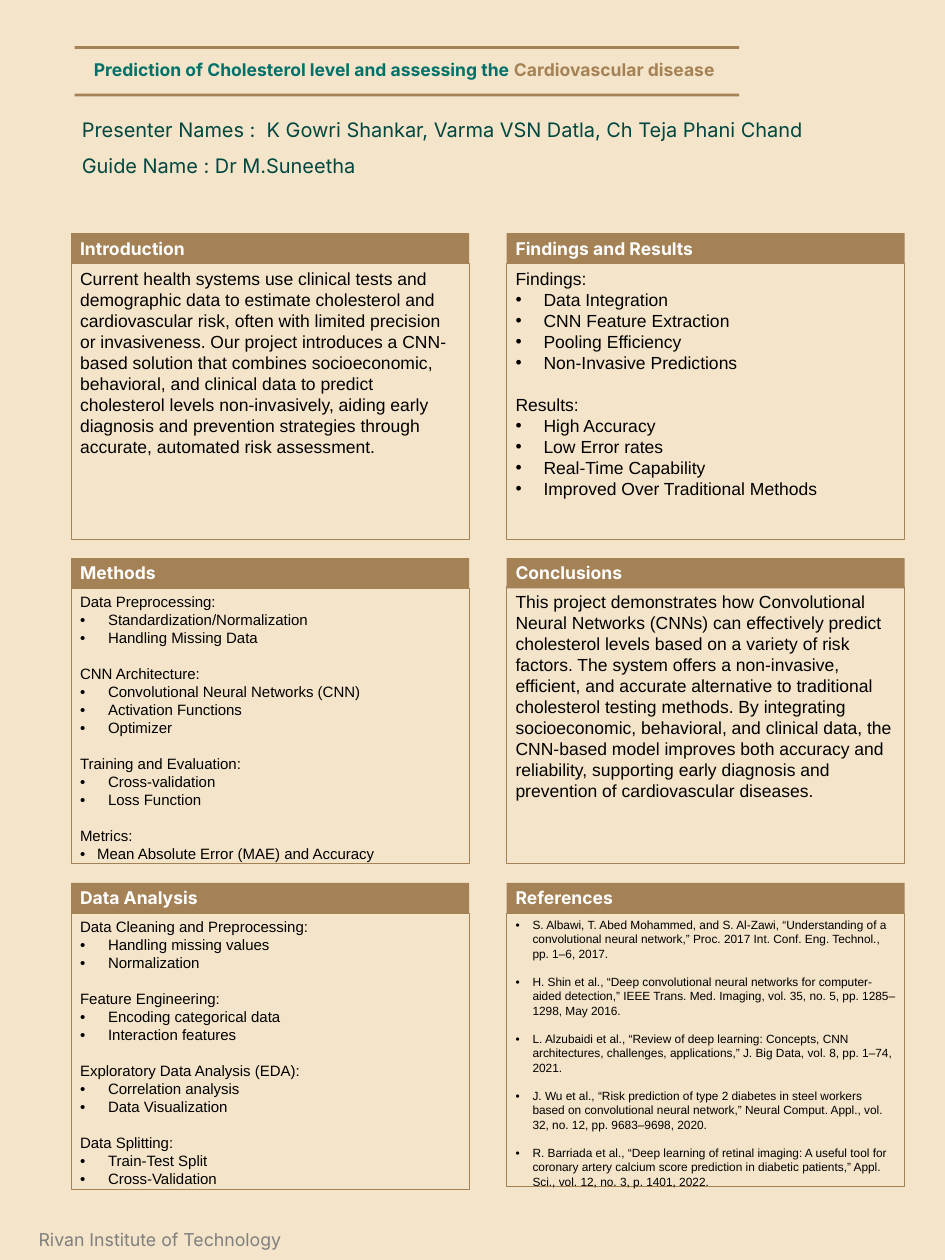
from dataclasses import dataclass

from lxml import etree
from pptx import Presentation
from pptx import util as u
from pptx.dml.color import RGBColor
from pptx.enum import shapes, text
from pptx.oxml import ns


@dataclass(frozen=True)
class Theme:
    paper: str = "F4E4C9"
    brown: str = "A58255"
    teal: str = "007069"
    dark_teal: str = "004740"
    grey: str = "7F7F7F"
    white: str = "FFFFFF"
    black: str = "000000"
    display: str = "Inter"
    body: str = "Arial"
    heading_size: float = 14
    names_size: float = 16
    footer_size: float = 14.2
    large: float = 14
    medium: float = 12
    small: float = 9.5


theme = Theme()


def style(span, font, size, color, bold=False):
    span.font.name = font
    span.font.size = u.Pt(size)
    span.font.color.rgb = RGBColor.from_string(color)
    span.font.bold = bold


def add_box(left, top, width, height, fill=None, line=None):
    box = slide.shapes.add_shape(
        shapes.MSO_SHAPE.RECTANGLE, u.Cm(left), u.Cm(top), u.Cm(width), u.Cm(height)
    )
    box.shadow.inherit = False
    if fill:
        box.fill.solid()
        box.fill.fore_color.rgb = RGBColor.from_string(fill)
    else:
        box.fill.background()
    if line:
        box.line.color.rgb = RGBColor.from_string(line)
        box.line.width = u.Pt(0.75)
    else:
        box.line.fill.background()
    box.text_frame.word_wrap = True
    box.text_frame.vertical_anchor = text.MSO_ANCHOR.TOP
    return box


deck = Presentation()
deck.slide_width = u.Cm(26.67)
deck.slide_height = u.Cm(35.56)
slide = deck.slides.add_slide(deck.slide_layouts[6])
slide.background.fill.solid()
slide.background.fill.fore_color.rgb = RGBColor.from_string(theme.paper)

for rule_top in (1.3, 2.64):
    add_box(2.11, rule_top, 18.75, 0.08, fill=theme.brown)

title_parts = [
    ("Prediction of Cholesterol level and assessing the ", theme.teal),
    ("Cardiovascular disease", theme.brown),
]
presenters = "Presenter Names :  K Gowri Shankar, Varma VSN Datla, Ch Teja Phani Chand"
captions = [
    (2.11, 1.57, 18.54, 0.79, 0.54, theme.heading_size, True, title_parts),
    (2.11, 3.23, 21.34, 0.89, 0.2, theme.names_size, False, [(presenters, theme.dark_teal)]),
    (2.11, 4.22, 11.4, 0.89, 0.2, theme.names_size, False,
     [("Guide Name : Dr M.Suneetha", theme.dark_teal)]),
    (0.89, 34.57, 10.49, 0.81, 0.2, theme.footer_size, False,
     [("Rivan Institute of Technology", theme.grey)]),
]
for left, top, width, height, margin, size, bold, parts in captions:
    box = slide.shapes.add_textbox(u.Cm(left), u.Cm(top), u.Cm(width), u.Cm(height))
    frame = box.text_frame
    frame.word_wrap = True
    frame.margin_left = u.Cm(margin)
    frame.margin_right = u.Cm(0.2)
    frame.margin_top = frame.margin_bottom = u.Cm(0.1)
    for words, color in parts:
        span = frame.paragraphs[0].add_run()
        span.text = words
        style(span, theme.display, size, color, bold)

wide, narrow = 0.79, 0.48
introduction = [
    ("Current health systems use clinical tests and demographic data to estimate cholesterol and "
     "cardiovascular risk, often with limited precision or invasiveness. Our project introduces a "
     "CNN-based solution that combines socioeconomic, behavioral, and clinical data to predict "
     "cholesterol levels non-invasively, aiding early diagnosis and prevention strategies through "
     "accurate, automated risk assessment.", wide, []),
]
methods = [
    ("Data Preprocessing:", wide, ["Standardization/Normalization", "Handling Missing Data"]),
    ("CNN Architecture:", wide,
     ["Convolutional Neural Networks (CNN)", "Activation Functions", "Optimizer"]),
    ("Training and Evaluation:", wide, ["Cross-validation", "Loss Function"]),
    ("Metrics:", narrow, ["Mean Absolute Error (MAE) and Accuracy"]),
]
analysis = [
    ("Data Cleaning and Preprocessing:", wide, ["Handling missing values", "Normalization"]),
    ("Feature Engineering:", wide, ["Encoding categorical data", "Interaction features"]),
    ("Exploratory Data Analysis (EDA):", wide, ["Correlation analysis", "Data Visualization"]),
    ("Data Splitting:", wide, ["Train-Test Split", "Cross-Validation"]),
]
findings = [
    ("Findings:", wide, ["Data Integration", "CNN Feature Extraction", "Pooling Efficiency",
                         "Non-Invasive Predictions"]),
    ("Results:", wide, ["High Accuracy", "Low Error rates", "Real-Time Capability",
                        "Improved Over Traditional Methods"]),
]
conclusions = [
    ("This project demonstrates how Convolutional Neural Networks (CNNs) can effectively predict "
     "cholesterol levels based on a variety of risk factors. The system offers a non-invasive, "
     "efficient, and accurate alternative to traditional cholesterol testing methods. By "
     "integrating socioeconomic, behavioral, and clinical data, the CNN-based model improves both "
     "accuracy and reliability, supporting early diagnosis and prevention of cardiovascular "
     "diseases.", wide, []),
]
references = [("", narrow, [entry]) for entry in (
    "S. Albawi, T. Abed Mohammed, and S. Al-Zawi, “Understanding of a convolutional neural "
    "network,” Proc. 2017 Int. Conf. Eng. Technol., pp. 1–6, 2017.",
    "H. Shin et al., “Deep convolutional neural networks for computer-aided detection,” IEEE "
    "Trans. Med. Imaging, vol. 35, no. 5, pp. 1285–1298, May 2016.",
    "L. Alzubaidi et al., “Review of deep learning: Concepts, CNN architectures, challenges, "
    "applications,” J. Big Data, vol. 8, pp. 1–74, 2021.",
    "J. Wu et al., “Risk prediction of type 2 diabetes in steel workers based on convolutional "
    "neural network,” Neural Comput. Appl., vol. 32, no. 12, pp. 9683–9698, 2020.",
    "R. Barriada et al., “Deep learning of retinal imaging: A useful tool for coronary artery "
    "calcium score prediction in diabetic patients,” Appl. Sci., vol. 12, no. 3, p. 1401, 2022.",
)]

sections = [
    (0, 0, "Introduction", theme.large, 0.86, 7.8, introduction),
    (0, 1, "Methods", theme.medium, 0.86, 7.77, methods),
    (0, 2, "Data Analysis", theme.medium, 0.86, 7.8, analysis),
    (1, 0, "Findings and Results", theme.large, 0.86, 7.8, findings),
    (1, 1, "Conclusions", theme.large, 0.81, 7.8, conclusions),
    (1, 2, "References", theme.small, 0.86, 7.72, references),
]
for column, row, heading, size, offset, height, groups in sections:
    left = 2.01 + column * 12.29
    top = 6.58 + row * 9.17
    header = add_box(left, top, 11.23, 0.86, fill=theme.brown)
    para = header.text_frame.paragraphs[0]
    para.text = heading
    para.alignment = text.PP_ALIGN.LEFT
    style(para.runs[0], theme.display, theme.heading_size, theme.white, True)

    frame = add_box(left, top + offset, 11.23, height, line=theme.brown).text_frame
    para = frame.paragraphs[0]
    for group_index, (lead, indent, items) in enumerate(groups):
        lines = ([(lead, False)] if lead else []) + [(item, True) for item in items]
        for line_index, (words, bulleted) in enumerate(lines):
            if group_index or line_index:
                para = frame.add_paragraph()
            para.text = words
            para.alignment = text.PP_ALIGN.LEFT
            para.line_spacing = u.Pt(size * 1.2)
            if group_index and line_index == 0:
                para.space_before = u.Pt(size * 1.2)
            style(para.runs[0], theme.body, size, theme.black)
            if bulleted:
                properties = para._p.get_or_add_pPr()
                properties.set("marL", str(u.Cm(indent)))
                properties.set("indent", str(-u.Cm(indent)))
                etree.SubElement(properties, ns.qn("a:buFont"), typeface=theme.body)
                etree.SubElement(properties, ns.qn("a:buChar"), char="•")

deck.save("out.pptx")
